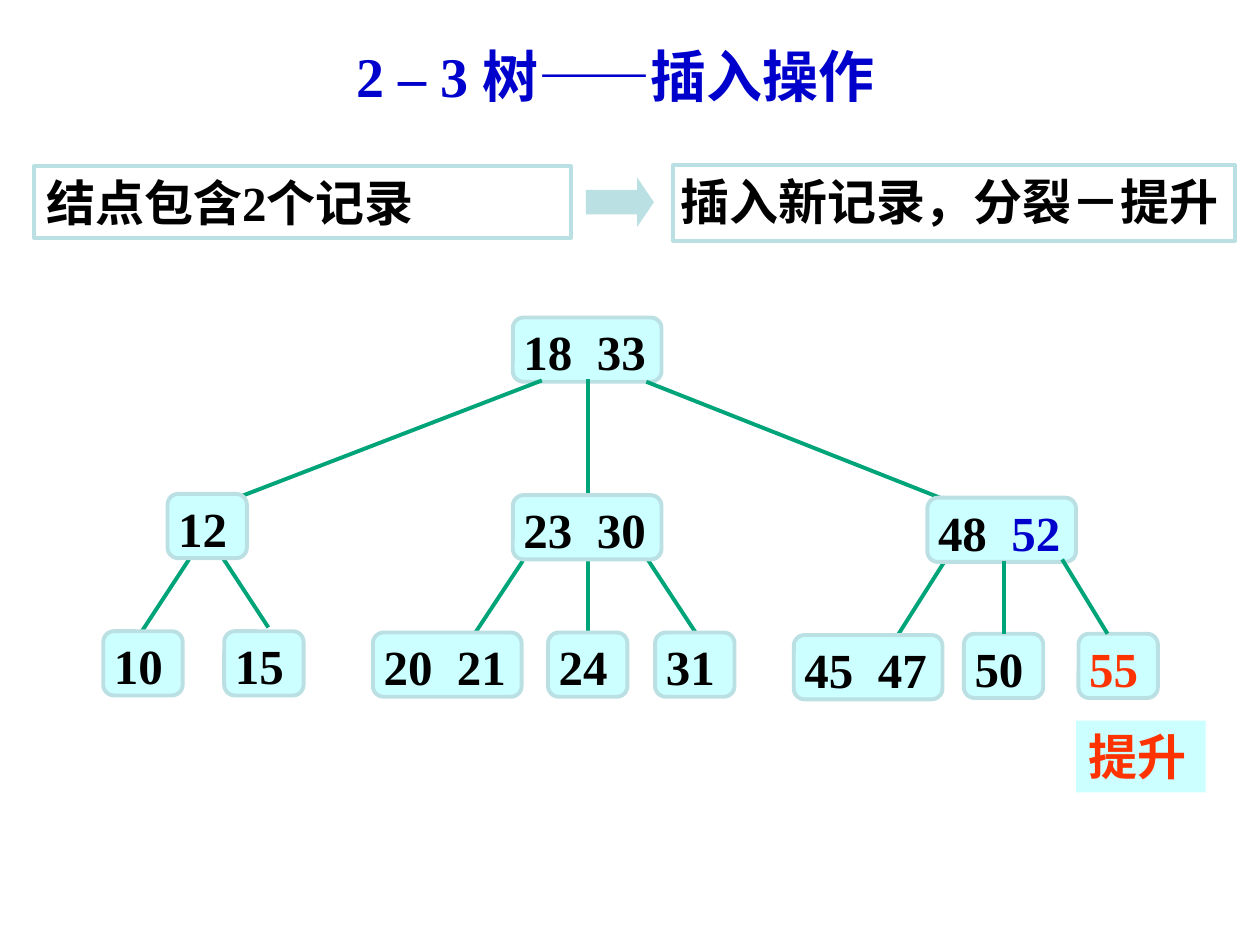
from dataclasses import dataclass
from typing import NamedTuple

from lxml.etree import SubElement
from pptx import Presentation
from pptx.dml.color import RGBColor
from pptx.enum.shapes import MSO_CONNECTOR, MSO_SHAPE
from pptx.enum.text import MSO_ANCHOR, MSO_AUTO_SIZE, PP_ALIGN
from pptx.oxml.ns import qn
from pptx.util import Inches, Pt

BLACK = RGBColor(0x00, 0x00, 0x00)
BLUE = RGBColor(0x00, 0x00, 0xCC)
RED = RGBColor(0xFF, 0x33, 0x00)
GREEN = RGBColor(0x00, 0xA4, 0x79)
PALE_CYAN = RGBColor(0xCC, 0xFF, 0xFF)
GREY_TEAL = RGBColor(0xBB, 0xE0, 0xE3)

SERIF, SANS = "Times New Roman", "Arial"
LINE_WIDTH = Pt(2.25)
NODE_HEIGHT = 0.51
NODE_WIDTHS = {1: 0.63, 2: 1.18}
NODE_MARGINS = (0.06, 0.01, 0.02, 0.01)
DEFAULT_MARGINS = (0.1, 0.05, 0.1, 0.05)


class Record(NamedTuple):
    """One key stored in a tree node."""
    key: int
    color: RGBColor = BLACK


@dataclass(frozen=True)
class Node:
    """A tree node with one or two records; its width follows their number."""
    left: float
    top: float
    records: tuple[Record, ...]


class Edge(NamedTuple):
    """A branch from a parent node down to a child, in inches."""
    start_x: float
    start_y: float
    end_x: float
    end_y: float


ROOT = Node(4.07, 2.52, (Record(18), Record(33)))
NODES = (
    Node(1.33, 3.92, (Record(12),)),
    Node(4.07, 3.93, (Record(23), Record(30))),
    Node(7.36, 3.95, (Record(48), Record(52, BLUE))),
    Node(0.82, 5.01, (Record(10),)),
    Node(1.78, 5.01, (Record(15),)),
    Node(2.96, 5.02, (Record(20), Record(21))),
    Node(4.35, 5.02, (Record(24),)),
    Node(5.20, 5.02, (Record(31),)),
    Node(6.30, 5.04, (Record(45), Record(47))),
    Node(7.65, 5.03, (Record(50),)),
    Node(8.56, 5.03, (Record(55, RED),)),
)
EDGES_BEHIND_NODES = (
    Edge(4.30, 3.02, 1.91, 3.94),
    Edge(4.67, 3.01, 4.67, 3.92),
    Edge(5.13, 3.03, 7.46, 3.95),
    Edge(1.50, 4.44, 1.12, 5.02),
    Edge(1.77, 4.43, 2.13, 4.98),
    Edge(4.15, 4.45, 3.76, 5.04),
    Edge(4.67, 4.45, 4.67, 5.05),
    Edge(5.14, 4.44, 5.56, 5.08),
    Edge(7.50, 4.45, 7.12, 5.05),
)
EDGES_BEFORE_NODES = (
    Edge(7.97, 4.45, 7.97, 5.03),
    Edge(8.43, 4.44, 8.79, 5.03),
)


def add_run(paragraph, text: str, *, size: int = 28, font: str = SERIF,
            color: RGBColor = BLACK) -> None:
    """Append bold text to a paragraph."""
    run = paragraph.add_run()
    run.text = text
    run.font.size = Pt(size)
    run.font.name = font
    run.font.bold = True
    run.font.color.rgb = color


def prepare_frame(shape, *, margins=DEFAULT_MARGINS, align=PP_ALIGN.LEFT,
                  anchor=MSO_ANCHOR.TOP):
    """Set the text layout of a shape and return its first paragraph."""
    frame = shape.text_frame
    frame.word_wrap = True
    frame.auto_size = MSO_AUTO_SIZE.NONE
    frame.vertical_anchor = anchor
    (frame.margin_left, frame.margin_top,
     frame.margin_right, frame.margin_bottom) = map(Inches, margins)
    paragraph = frame.paragraphs[0]
    paragraph.alignment = align
    return paragraph


def add_box(slide, kind, box, *, fill=None, line=None):
    """Draw a preset shape with an optional fill and outline."""
    shape = slide.shapes.add_shape(kind, *map(Inches, box))
    shape.shadow.inherit = False
    if fill is None:
        shape.fill.background()
    else:
        shape.fill.solid()
        shape.fill.fore_color.rgb = fill
    if line is None:
        shape.line.fill.background()
    else:
        shape.line.color.rgb = line
        shape.line.width = LINE_WIDTH
    return shape


def add_node(slide, node: Node) -> None:
    """Draw a tree node with its records."""
    box = (node.left, node.top, NODE_WIDTHS[len(node.records)], NODE_HEIGHT)
    shape = add_box(slide, MSO_SHAPE.ROUNDED_RECTANGLE, box,
                    fill=PALE_CYAN, line=GREY_TEAL)
    paragraph = prepare_frame(shape, margins=NODE_MARGINS, align=PP_ALIGN.JUSTIFY)
    for index, record in enumerate(node.records):
        gap = "  " if index < len(node.records) - 1 else ""
        add_run(paragraph, f"{record.key}{gap}", color=record.color)


def add_edge(slide, edge: Edge) -> None:
    """Draw a branch of the tree."""
    connector = slide.shapes.add_connector(MSO_CONNECTOR.STRAIGHT, *map(Inches, edge))
    connector.line.color.rgb = GREEN
    connector.line.width = LINE_WIDTH
    SubElement(connector._element.spPr, qn("a:effectLst"))


def add_title(slide, text: str) -> None:
    """Place and format the slide title."""
    title = slide.shapes.title
    title.left, title.top, title.width, title.height = map(Inches, (2.6, 0.28, 4.57, 0.63))
    paragraph = prepare_frame(title, align=PP_ALIGN.CENTER, anchor=MSO_ANCHOR.MIDDLE)
    add_run(paragraph, text, size=32, color=BLUE)


def add_rule(slide) -> None:
    """Draw the insertion rule: condition, arrow and action."""
    condition = add_box(slide, MSO_SHAPE.RECTANGLE, (0.27, 1.32, 4.26, 0.57), line=GREY_TEAL)
    add_run(prepare_frame(condition, anchor=MSO_ANCHOR.MIDDLE), "结点包含2个记录")
    action = add_box(slide, MSO_SHAPE.RECTANGLE, (5.34, 1.31, 4.46, 0.6), line=GREY_TEAL)
    add_run(prepare_frame(action, margins=(0.06, 0.05, 0, 0.05)),
            "插入新记录，分裂－提升", font=SANS)
    arrow = add_box(slide, MSO_SHAPE.RIGHT_ARROW, (4.65, 1.41, 0.54, 0.39), fill=GREY_TEAL)
    arrow.adjustments[1] = 0.34


def add_promotion_label(slide) -> None:
    """Draw the label below the record that moves up."""
    label = add_box(slide, MSO_SHAPE.RECTANGLE, (8.54, 5.72, 1.03, 0.57), fill=PALE_CYAN)
    add_run(prepare_frame(label), "提升", font=SANS, color=RED)


def main() -> None:
    """Build the slide and save it."""
    presentation = Presentation()
    presentation.slide_width, presentation.slide_height = Inches(10), Inches(7.5)
    slide = presentation.slides.add_slide(presentation.slide_layouts.get_by_name("Title Only"))
    add_title(slide, "2 – 3 树——插入操作")
    add_rule(slide)
    add_node(slide, ROOT)
    for edge in EDGES_BEHIND_NODES:
        add_edge(slide, edge)
    for node in NODES:
        add_node(slide, node)
    for edge in EDGES_BEFORE_NODES:
        add_edge(slide, edge)
    add_promotion_label(slide)
    presentation.save("out.pptx")


main()
